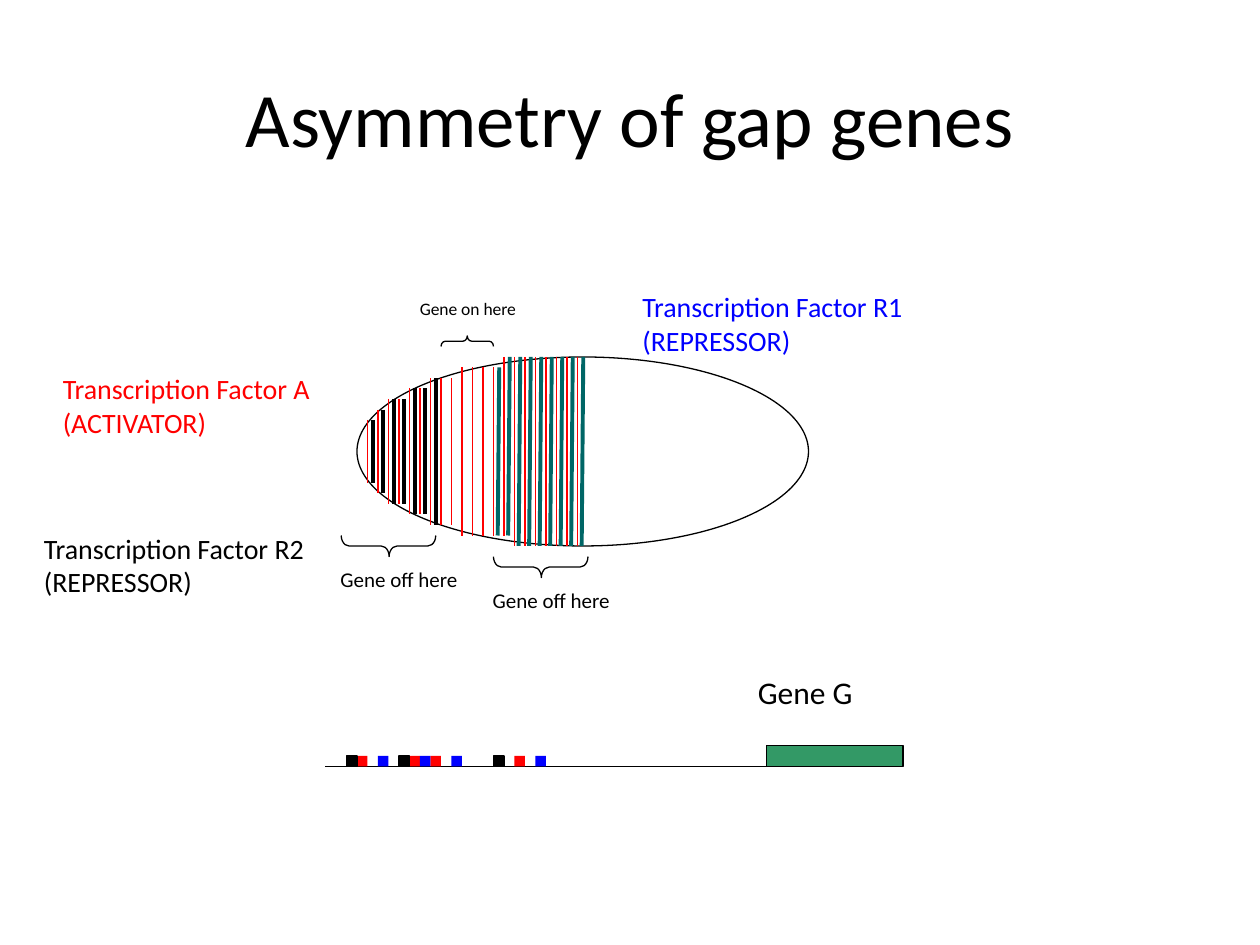
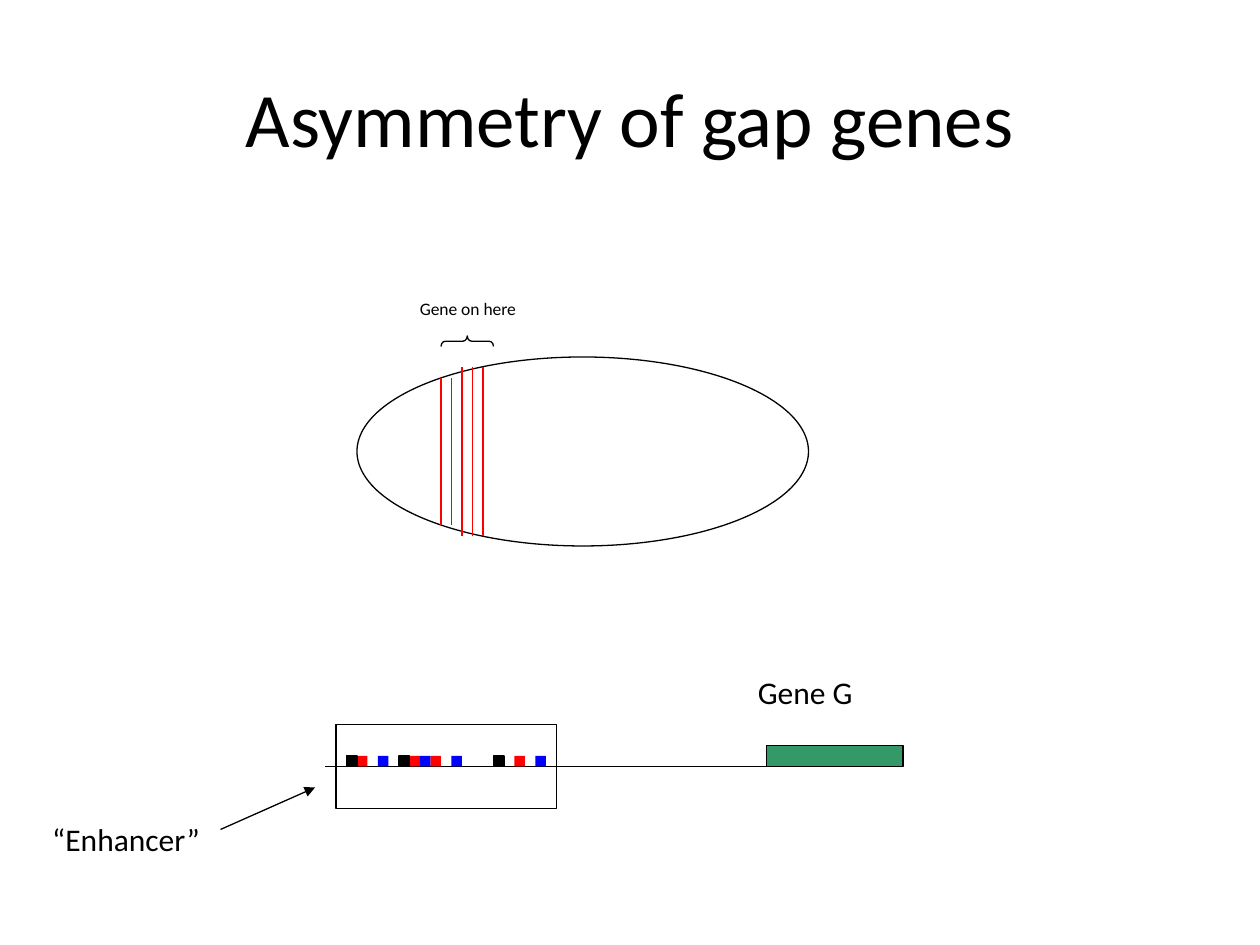
from dataclasses import dataclass
from pptx import Presentation
from pptx.dml.color import RGBColor
from pptx.enum.shapes import MSO_CONNECTOR, MSO_SHAPE
from pptx.enum.text import MSO_ANCHOR, PP_ALIGN
from pptx.oxml.ns import qn
from pptx.util import Cm, Pt
from lxml.etree import SubElement

UNIT = 2.54 / 12  # drawing grid: twelve steps to the inch


@dataclass(frozen=True)
class Theme:
    font: str = "Calibri"
    ink: str = "000000"
    activator: str = "FF0000"
    repressor: str = "0000FF"
    repressor_stripe: str = "006666"
    gene: str = "339966"
    title: int = 44
    heading: int = 18
    factor: int = 16
    off: int = 12
    on: int = 10
    thin: float = 0.75
    thick: float = 2.25


@dataclass(frozen=True)
class Box:
    """An area in grid steps."""
    x: float
    y: float
    w: float
    h: float

    def sub(self, x, y, w, h):
        return Box(self.x + x, self.y + y, w, h)

    def lengths(self):
        return [Cm(v * UNIT) for v in (self.x, self.y, self.w, self.h)]


T = Theme()
TITLE = Box(6, 3.6, 108, 15)
EMBRYO = Box(34, 34, 43, 18)
LOCUS = Box(31, 71, 55, 2)

# Distance of each stripe column from the top of the embryo
INSETS = [6, 5, 4, 4, 3, 3, 2, 2, 2, 1, 1, 1, 1] + [0] * 8
SITES = [(T.activator, (3, 8, 10, 18)), (T.repressor, (5, 9, 12, 20)), (T.ink, (2, 7, 16))]


def set_attrs(obj, formats):
    for name, value in formats.items():
        setattr(obj, name, value)


def write(tf, lines, size, color=T.ink, align=PP_ALIGN.LEFT, anchor=MSO_ANCHOR.TOP):
    set_attrs(tf, {"word_wrap": True, "vertical_anchor": anchor})
    for i, line in enumerate(lines):
        p = tf.add_paragraph() if i else tf.paragraphs[0]
        p.alignment = align
        r = p.add_run()
        r.text = line
        set_attrs(r.font, {"name": T.font, "size": Pt(size)})
        r.font.color.rgb = RGBColor.from_string(color)


def add_label(s, box, lines, size, color=T.ink):
    write(s.shapes.add_textbox(*box.lengths()).text_frame, lines, size, color)


def add_shape(s, kind, box, fill=None, line=T.ink):
    sp = s.shapes.add_shape(kind, *box.lengths())
    sp.shadow.inherit = False
    if fill:
        sp.fill.solid()
        sp.fill.fore_color.rgb = RGBColor.from_string(fill)
    else:
        sp.fill.background()
    if line:
        sp.line.color.rgb = RGBColor.from_string(line)
        sp.line.width = Pt(T.thin)
    else:
        sp.line.fill.background()
    return sp


def add_line(s, box, x1, y1, x2, y2, color=T.ink, width=T.thin, arrow=False):
    ends = (box.x + x1, box.y + y1, box.x + x2, box.y + y2)
    c = s.shapes.add_connector(MSO_CONNECTOR.STRAIGHT, *[Cm(v * UNIT) for v in ends])
    c.line.color.rgb = RGBColor.from_string(color)
    c.line.width = Pt(width)
    if arrow:
        SubElement(c.line._get_or_add_ln(), qn("a:tailEnd"), type="triangle")
    SubElement(c._element.spPr, qn("a:effectLst"))


def add_brace(s, box, rotation, curve, middle):
    # The frame is upright before it is turned about its centre
    turned = box.sub((box.w - box.h) / 2, (box.h - box.w) / 2, box.h, box.w)
    sp = add_shape(s, MSO_SHAPE.LEFT_BRACE, turned)
    sp.rotation = rotation
    sp.adjustments[0], sp.adjustments[1] = curve, middle


def add_stripes(s, box, columns, color, width=T.thin, top_dx=0, bottom_dx=0):
    for col in columns:
        inset = INSETS[col - 1]
        bottom = box.h - (1 if col == 14 else inset)
        add_line(s, box, col + top_dx, inset, col + bottom_dx, bottom, color, width)


def add_title(s, box, text):
    title = s.shapes.title
    set_attrs(title, dict(zip(("left", "top", "width", "height"), box.lengths())))
    write(title.text_frame, [text], T.title, align=PP_ALIGN.CENTER, anchor=MSO_ANCHOR.MIDDLE)


def add_embryo(s, box, active_columns):
    add_shape(s, MSO_SHAPE.OVAL, box)
    add_stripes(s, box, active_columns, T.activator)
    # Region where the gene is on
    brace = box.sub(8, -2, 5, 1)
    add_brace(s, brace, 90, 0.417, 0.5)
    add_label(s, brace.sub(-3.2, -4.2, 12.6, 3.2), ["Gene on here"], T.on)


def add_repression(s, box):
    add_stripes(s, box, range(13, 22), T.repressor_stripe, T.thick, 0.55, 0.4)
    add_stripes(s, box, range(1, 8), T.ink, T.thick, 0.5, 0.5)
    # Regions where the gene is off
    for x, y in ((13, 19), (-1.5, 17)):
        brace = box.sub(x, y, 9, 2)
        add_brace(s, brace, 270, 0.375, 0.507)
        add_label(s, brace.sub(-1.25, 2.4, 14.6, 3.6), ["Gene off here"], T.off)
    # Transcription factors
    for x, y, name, role, color in (
            (-29.2, 0.8, "A", "ACTIVATOR", T.activator),
            (26, -7, "R1", "REPRESSOR", T.repressor),
            (-31, 16, "R2", "REPRESSOR", T.ink)):
        lines = [f"Transcription Factor {name}", f"({role})"]
        add_label(s, box.sub(x, y, 30, 7.7), lines, T.factor, color)


def add_locus(s, box):
    add_line(s, box, 0, box.h, box.w, box.h)
    add_shape(s, MSO_SHAPE.RECTANGLE, box.sub(42, 0, 13, 2), T.gene)
    add_label(s, box.sub(40, -7.5, 16.4, 6), ["Gene G"], T.heading)
    # Binding sites
    for color, places in SITES:
        for x in places:
            add_shape(s, MSO_SHAPE.RECTANGLE, box.sub(x, 1, 1, 1), color,
                      T.ink if color == T.ink else None)


def add_enhancer(s, box):
    add_shape(s, MSO_SHAPE.RECTANGLE, box.sub(1, -2, 21, 8))
    add_line(s, box, -10, 8, -1, 4, arrow=True)
    add_label(s, box.sub(-27.2, 6.5, 17, 4.8), ["“Enhancer”"], T.heading)


def add_gap_gene_slide(prs, active_columns):
    s = prs.slides.add_slide(prs.slide_layouts[5])
    add_title(s, TITLE, "Asymmetry of gap genes")
    add_embryo(s, EMBRYO, active_columns)
    add_locus(s, LOCUS)
    return s


def main():
    prs = Presentation()
    set_attrs(prs, {"slide_width": Cm(25.4), "slide_height": Cm(19.05)})
    add_repression(add_gap_gene_slide(prs, range(1, 22)), EMBRYO)
    add_enhancer(add_gap_gene_slide(prs, range(8, 13)), LOCUS)
    prs.save("out.pptx")


if __name__ == "__main__":
    main()
